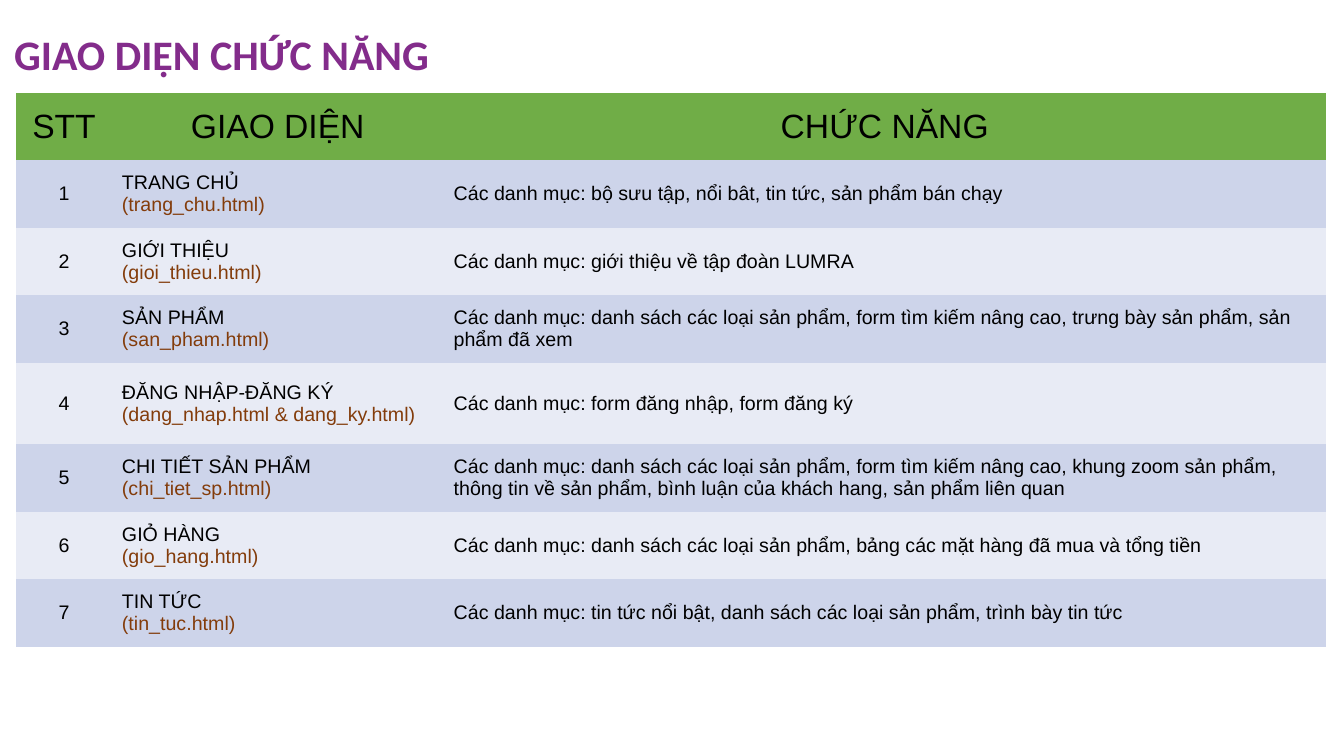
"""Build the slide that lists each web page and its functions."""
from dataclasses import dataclass

import pptx
import pptx.dml.color
import pptx.enum.text
import pptx.oxml.ns
import pptx.util

Inches = pptx.util.Inches
PP_ALIGN = pptx.enum.text.PP_ALIGN
MIDDLE = pptx.enum.text.MSO_ANCHOR.MIDDLE


@dataclass(frozen=True)
class Theme:
    title_font: str = "Calibri"
    body_font: str = "Arial"
    title_size: int = 30
    header_size: int = 24
    body_size: int = 14
    title_color: str = "832C8B"
    text_color: str = "000000"
    file_color: str = "833C0B"
    header_fill: str = "70AD47"
    band_fills: tuple = ("CDD4EA", "E8EBF5")
    table_style: str = "{2D5ABB26-0587-4C30-8999-92F81FD0307C}"


class SlideBuilder:
    def __init__(self, prs, theme):
        self.theme = theme
        self.slide = prs.slides.add_slide(prs.slide_layouts[5])

    def add_run(self, p, text, size, color, font, bold=False):
        r = p.add_run()
        r.text = text
        r.font.size = pptx.util.Pt(size)
        r.font.name = font
        r.font.bold = bold
        r.font.color.rgb = pptx.dml.color.RGBColor.from_string(color)

    def add_title(self, text, left, top, width, height):
        sp = self.slide.shapes.title
        sp.left, sp.top = Inches(left), Inches(top)
        sp.width, sp.height = Inches(width), Inches(height)
        tf = sp.text_frame
        tf.word_wrap = True
        tf.auto_size = pptx.enum.text.MSO_AUTO_SIZE.NONE
        tf.vertical_anchor = MIDDLE
        tf.margin_left = tf.margin_right = Inches(0.1)
        tf.margin_top = tf.margin_bottom = Inches(0.1)
        p = tf.paragraphs[0]
        p.alignment = PP_ALIGN.LEFT
        p.line_spacing = 0.9
        self.add_run(p, text, self.theme.title_size, self.theme.title_color,
                     self.theme.title_font, bold=True)

    def fill_cell(self, cell, lines, size, fill, align):
        cell.fill.solid()
        cell.fill.fore_color.rgb = pptx.dml.color.RGBColor.from_string(fill)
        cell.vertical_anchor = MIDDLE
        tf = cell.text_frame
        colors = (self.theme.text_color, self.theme.file_color)
        for i, (line, color) in enumerate(zip(lines, colors)):
            p = tf.add_paragraph() if i else tf.paragraphs[0]
            p.alignment = align
            self.add_run(p, line, size, color, self.theme.body_font)

    def add_table(self, headers, pages, left, top, widths, heights):
        theme = self.theme
        frame = self.slide.shapes.add_table(
            len(heights), len(widths), Inches(left), Inches(top),
            Inches(sum(widths)), Inches(sum(heights)))
        table = frame.table
        style = table._tbl.tblPr.find(pptx.oxml.ns.qn("a:tableStyleId"))
        style.text = theme.table_style
        for column, width in zip(table.columns, widths):
            column.width = Inches(width)
        for row, height in zip(table.rows, heights):
            row.height = Inches(height)
        for col, header in enumerate(headers):
            self.fill_cell(table.cell(0, col), (header,), theme.header_size,
                           theme.header_fill, PP_ALIGN.CENTER)
        for number, (name, file, functions) in enumerate(pages, 1):
            fill = theme.band_fills[(number - 1) % 2]
            row = ((str(number),), (name, f"({file})"),
                   (f"Các danh mục: {functions}",))
            for col, lines in enumerate(row):
                align = PP_ALIGN.LEFT if col else PP_ALIGN.CENTER
                self.fill_cell(table.cell(number, col), lines,
                               theme.body_size, fill, align)


HEADERS = ("STT", "GIAO DIỆN", "CHỨC NĂNG")
PAGES = (
    ("TRANG CHỦ", "trang_chu.html",
     "bộ sưu tập, nổi bât, tin tức, sản phẩm bán chạy"),
    ("GIỚI THIỆU", "gioi_thieu.html",
     "giới thiệu về tập đoàn LUMRA"),
    ("SẢN PHẨM", "san_pham.html",
     "danh sách các loại sản phẩm, form tìm kiếm nâng cao, "
     "trưng bày sản phẩm, sản phẩm đã xem"),
    ("ĐĂNG NHẬP-ĐĂNG KÝ", "dang_nhap.html & dang_ky.html",
     "form đăng nhập, form đăng ký"),
    ("CHI TIẾT SẢN PHẨM", "chi_tiet_sp.html",
     "danh sách các loại sản phẩm, form tìm kiếm nâng cao, "
     "khung zoom sản phẩm, thông tin về sản phẩm, "
     "bình luận của khách hang, sản phẩm liên quan"),
    ("GIỎ HÀNG", "gio_hang.html",
     "danh sách các loại sản phẩm, bảng các mặt hàng đã mua và tổng tiền"),
    ("TIN TỨC", "tin_tuc.html",
     "tin tức nổi bật, danh sách các loại sản phẩm, trình bày tin tức"),
)


def main():
    prs = pptx.Presentation()
    prs.slide_width, prs.slide_height = Inches(13.33), Inches(7.5)
    s = SlideBuilder(prs, Theme())
    s.add_title("GIAO DIỆN CHỨC NĂNG", 0.04, 0, 11.5, 1.12)
    heights = [0.67] * (len(PAGES) + 1)
    heights[4] = 0.81
    s.add_table(HEADERS, PAGES, 0.16, 0.92, (0.95, 3.29, 8.75), heights)
    prs.save("out.pptx")


if __name__ == "__main__":
    main()
